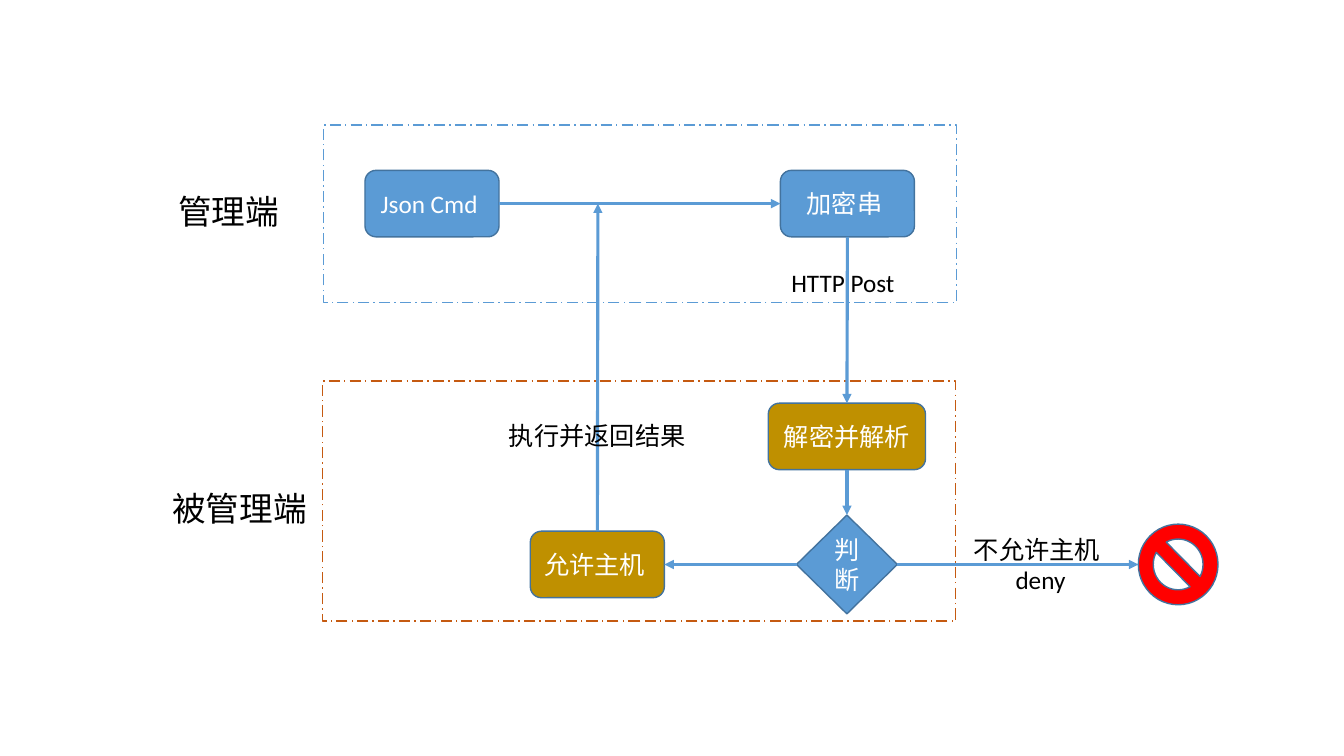
from dataclasses import dataclass

from lxml.etree import SubElement
from pptx import Presentation
from pptx.dml.color import RGBColor as Rgb
from pptx.enum.dml import MSO_LINE as Dash
from pptx.enum.shapes import MSO_CONNECTOR as Link, MSO_SHAPE as Shape
from pptx.enum.text import MSO_ANCHOR as Anchor, MSO_AUTO_SIZE as Fit, PP_ALIGN as Align
from pptx.oxml.ns import qn
from pptx.util import Emu, Pt

SCALE = 9144  # one px is a hundredth of an inch
TOP, LEFT, BOTTOM, RIGHT = range(4)


@dataclass(frozen=True)
class Theme:
    blue: str = "5B9BD5"
    edge: str = "43739E"
    gold: str = "BF9000"
    rust: str = "C55A11"
    red: str = "FF0000"
    white: str = "FFFFFF"
    black: str = "000000"
    latin: str = "Calibri"
    asian: str = "Noto Sans CJK SC"
    body: int = 18
    title: int = 24
    thin: float = 1
    thick: float = 2.25


T = Theme()


def px(*nums):
    return [Emu(n * SCALE) for n in nums]


def write(para, text, color, size=T.body, font=T.latin):
    run = para.add_run()
    run.text = text
    run.font.size = Pt(size)
    run.font.name = font
    run.font.color.rgb = Rgb.from_string(color)
    SubElement(run._r.get_or_add_rPr(), qn("a:ea")).set("typeface", T.asian)


def block(slide, kind, area, fill, edge=T.edge):
    shape = slide.shapes.add_shape(kind, *px(*area))
    shape.shadow.inherit = False
    shape.fill.solid()
    shape.fill.fore_color.rgb = Rgb.from_string(fill)
    shape.line.color.rgb = Rgb.from_string(edge)
    shape.line.width = Pt(T.thin)
    return shape


def frame(slide, area, edge):
    block(slide, Shape.RECTANGLE, area, T.white, edge).line.dash_style = Dash.LONG_DASH_DOT


def node(slide, text, area, fill, kind=Shape.ROUNDED_RECTANGLE):
    shape = block(slide, kind, area, fill)
    body = shape.text_frame
    body.word_wrap = True
    body.vertical_anchor = Anchor.MIDDLE
    para = body.paragraphs[0]
    para.alignment = Align.CENTER
    write(para, text, T.white)
    return shape


def label(slide, lines, area, size=T.body, font=T.latin, wrap=True):
    body = slide.shapes.add_textbox(*px(*area)).text_frame
    body.word_wrap = wrap
    body.auto_size = Fit.SHAPE_TO_FIT_TEXT
    for i, (text, align) in enumerate(lines):
        para = body.add_paragraph() if i else body.paragraphs[0]
        para.alignment = align
        write(para, text, T.black, size, font)


def arrow(slide, ends, start, side, goal=None, into=None):
    line = slide.shapes.add_connector(Link.STRAIGHT, *px(*ends))
    line.line.color.rgb = Rgb.from_string(T.blue)
    line.line.width = Pt(T.thick)
    SubElement(line.line._get_or_add_ln(), qn("a:tailEnd")).set("type", "triangle")
    SubElement(line._element.spPr, qn("a:effectLst"))
    line.begin_connect(start, side)
    if goal is not None:
        line.end_connect(goal, into)


def main():
    deck = Presentation()
    deck.slide_width, deck.slide_height = px(1333, 750)
    slide = deck.slides.add_slide(deck.slide_layouts[6])

    # Dashed frames for the two sides
    frame(slide, (320, 378, 628, 238), T.rust)
    frame(slide, (321, 124, 628, 176), T.blue)

    # Steps
    cmd = node(slide, "Json Cmd ", (362, 169, 133, 66), T.blue)
    lock = node(slide, "加密串 ", (774, 169, 133, 66), T.blue)
    read = node(slide, "解密并解析 ", (762, 400, 156, 66), T.gold)
    test = node(slide, "判断", (790, 511, 100, 98), T.blue, Shape.DIAMOND)
    allow = node(slide, "允许主机 ", (526, 527, 133, 66), T.gold)
    block(slide, Shape.NO_SYMBOL, (1129, 520, 79, 80), T.red)

    # Flow
    arrow(slide, (495, 202, 774, 202), cmd, RIGHT, lock, LEFT)
    arrow(slide, (840, 235, 840, 400), lock, BOTTOM, read, TOP)
    arrow(slide, (840, 466, 840, 511), read, BOTTOM, test, TOP)
    arrow(slide, (790, 560, 659, 560), test, LEFT, allow, RIGHT)
    arrow(slide, (890, 560, 1129, 560), test, RIGHT)
    arrow(slide, (593, 527, 593, 202), allow, TOP)

    # Notes on the flow
    label(slide, [("HTTP Post", Align.LEFT)], (775, 260, 130, 40))
    label(slide, [("不允许主机", Align.LEFT), ("deny", Align.CENTER)], (956, 525, 152, 71))
    label(slide, [("执行并返回结果", Align.LEFT)], (495, 412, 197, 40), wrap=False)

    # Names of the sides
    label(slide, [("管理端", Align.LEFT)], (167, 184, 135, 50), T.title, T.asian)
    label(slide, [("被管理端", Align.LEFT)], (161, 479, 161, 50), T.title, T.asian)

    deck.save("out.pptx")


if __name__ == "__main__":
    main()
